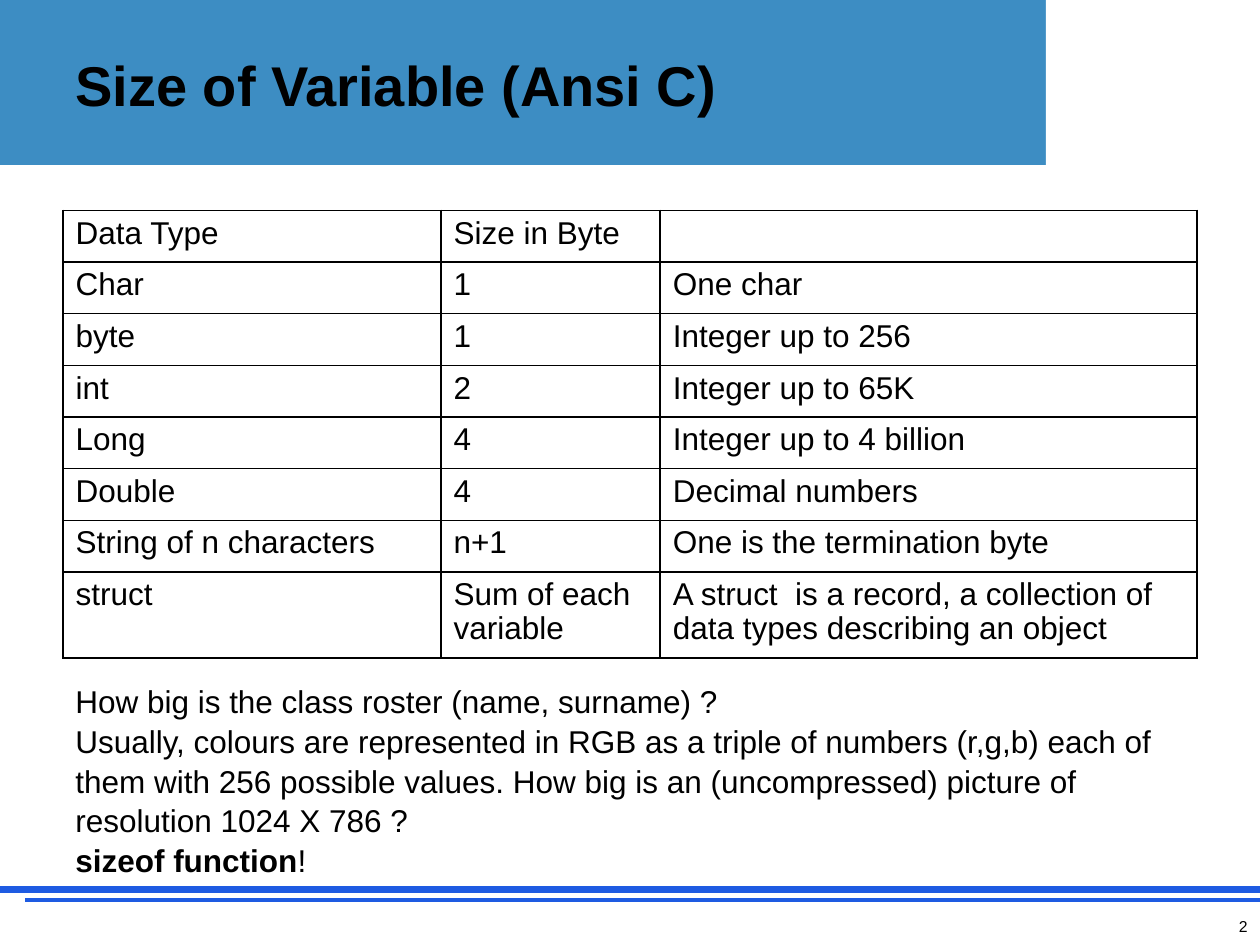
from lxml.etree import SubElement
from pptx import Presentation
from pptx.dml.color import RGBColor
from pptx.enum.shapes import MSO_CONNECTOR, MSO_SHAPE
from pptx.enum.text import MSO_ANCHOR, PP_ALIGN
from pptx.oxml import parse_xml
from pptx.oxml.ns import nsdecls, qn
from pptx.util import Inches, Pt

BLACK = RGBColor(0, 0, 0)
WHITE = RGBColor(0xFF, 0xFF, 0xFF)
BAND = RGBColor(0x3D, 0x8D, 0xC3)
RULE = RGBColor(0x1E, 0x5B, 0xE2)

WIDTHS = (3, 1.74, 4.26)
HEIGHTS = (0.41,) * 7 + (0.66,)
ROWS = (
    ("Data Type", "Size in Byte", ""),
    ("Char", "1", "One char"),
    ("byte", "1", "Integer up to 256"),
    ("int", "2", "Integer up to 65K"),
    ("Long ", "4", "Integer up to 4 billion"),
    ("Double", "4", "Decimal numbers"),
    ("String of n characters", "n+1", "One is the termination byte"),
    ("struct", "Sum of each variable",
     "A struct  is a record, a collection of data types describing an object"),
)
NOTES = (
    (("How big is the class roster (name, surname) ?", False),),
    (("Usually, colours are represented in RGB as a triple of numbers (r,g,b) "
      "each of them with 256 possible values. How big is an (uncompressed) "
      "picture of resolution 1024 X 786 ?", False),),
    (("sizeof function", True), ("!", False)),
)


def style(para, size, bold=None):
    """Set the font of a whole paragraph."""
    font = para.font
    font.name, font.size, font.bold = "Arial", Pt(size), bold
    font.color.rgb = BLACK


def add_box(slide, left, top, width, height, color):
    """Draw a plain filled rectangle."""
    box = slide.shapes.add_shape(MSO_SHAPE.RECTANGLE, Inches(left), Inches(top),
                                 Inches(width), Inches(height))
    box.shadow.inherit = False
    box.fill.solid()
    box.fill.fore_color.rgb = color
    box.line.fill.background()


def add_rule(slide, left, right, top, weight):
    """Draw a level line without a shadow."""
    rule = slide.shapes.add_connector(MSO_CONNECTOR.STRAIGHT, Inches(left),
                                      Inches(top), Inches(right), Inches(top))
    rule.line.color.rgb = RULE
    rule.line.width = Pt(weight)
    SubElement(rule._element.spPr, qn("a:effectLst"))


def add_text(slide, left, top, width, height):
    """Add a wrapping text box and return its frame."""
    box = slide.shapes.add_textbox(Inches(left), Inches(top),
                                   Inches(width), Inches(height))
    box.text_frame.word_wrap = True
    return box.text_frame


def add_header(slide, left, top, width, height):
    """Place the colour band, its white corner and the title."""
    add_box(slide, left, top, width, height, BAND)
    add_box(slide, left + 8.3, top, width - 8.3, height + 0.08, WHITE)
    frame = add_text(slide, left + 0.5, top + 0.13, 6.86, 1.08)
    frame.vertical_anchor = MSO_ANCHOR.MIDDLE
    para = frame.paragraphs[0]
    para.text = "Size of Variable (Ansi C)"
    style(para, 32, True)


def add_edges(cell):
    """Give a cell thin black borders, which come before its fill."""
    props = cell._tc.get_or_add_tcPr()
    for spot, side in enumerate("LRTB"):
        props.insert(spot, parse_xml(
            f'<a:ln{side} {nsdecls("a")} w="{Pt(1)}"><a:solidFill>'
            f'<a:srgbClr val="{BLACK}"/></a:solidFill></a:ln{side}>'))


def add_grid(slide, left, top):
    """Place the table of data types."""
    grid = slide.shapes.add_table(
        len(ROWS), len(WIDTHS), Inches(left), Inches(top),
        Inches(sum(WIDTHS)), Inches(sum(HEIGHTS))).table
    grid.first_row = grid.horz_banding = False
    for col, width in zip(grid.columns, WIDTHS):
        col.width = Inches(width)
    for row, height, texts in zip(grid.rows, HEIGHTS, ROWS):
        row.height = Inches(height)
        for cell, text in zip(row.cells, texts):
            cell.fill.background()
            add_edges(cell)
            para = cell.text_frame.paragraphs[0]
            para.text = text
            para.line_spacing = 0.97
            style(para, 18)


def add_notes(slide, left, top, width, height):
    """Place the questions under the table."""
    frame = add_text(slide, left, top, width, height)
    for spot, parts in enumerate(NOTES):
        para = frame.add_paragraph() if spot else frame.paragraphs[0]
        para.line_spacing = 1.05
        style(para, 18)
        for text, bold in parts:
            run = para.add_run()
            run.text = text
            run.font.bold = bold


def add_footer(slide, left, top, width):
    """Place the double rule and the page number."""
    right = left + width
    add_rule(slide, left, right, top, 4.5)
    add_rule(slide, left + 0.2, right, top + 0.08, 2.25)
    para = add_text(slide, right - 2.33, top + 0.17, 2.33, 0.27).paragraphs[0]
    para.text = "2"
    para.alignment = PP_ALIGN.RIGHT
    style(para, 9)


def main():
    """Build and save the slide."""
    deck = Presentation()
    deck.slide_width, deck.slide_height = Inches(10), Inches(7.5)
    slide = deck.slides.add_slide(deck.slide_layouts[6])
    add_header(slide, 0, 0, 10, 1.31)
    add_grid(slide, 0.5, 1.67)
    add_notes(slide, 0.5, 5.35, 9.07, 1.62)
    add_footer(slide, 0, 7.06, 10)
    deck.save("out.pptx")


main()
